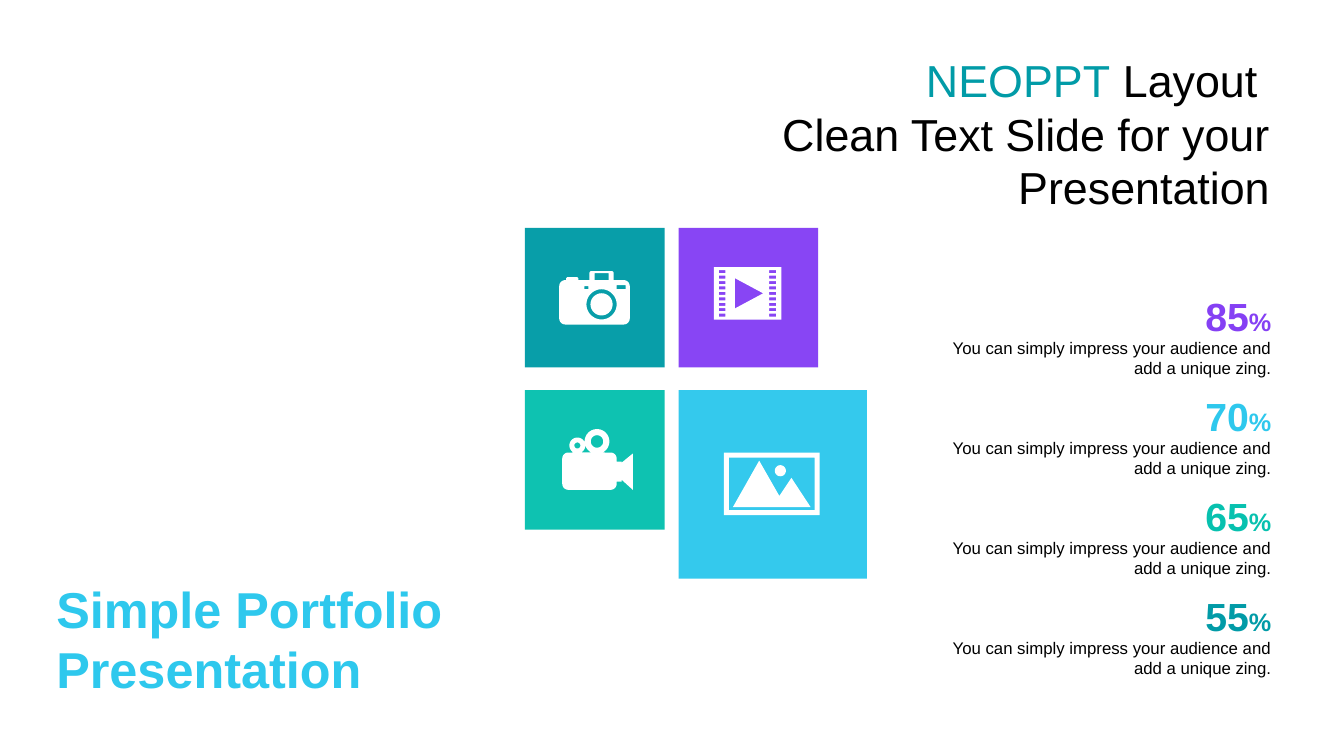
from math import cos, radians, sin

from lxml import etree
from pptx import Presentation
from pptx.dml.color import RGBColor
from pptx.enum.shapes import MSO_SHAPE
from pptx.enum.text import MSO_ANCHOR, MSO_AUTO_SIZE, PP_ALIGN
from pptx.oxml.ns import qn
from pptx.util import Cm, Pt

RECTANGLE = MSO_SHAPE.RECTANGLE
LEFT, RIGHT = PP_ALIGN.LEFT, PP_ALIGN.RIGHT
TOP, MIDDLE = MSO_ANCHOR.TOP, MSO_ANCHOR.MIDDLE
NO_AUTOFIT = MSO_AUTO_SIZE.NONE

FONT = "Arial"
TEAL, PURPLE, MINT, SKY = "019BA7", "8540F4", "07C1AF", "2EC8ED"
BLACK, WHITE = "000000", "FFFFFF"
ICON_UNIT = 0.0254  # cm per icon grid unit


def rgb(hex_color):
    return RGBColor.from_string(hex_color)


# Text helpers
def set_frame(shape, anchor):
    frame = shape.text_frame
    frame.word_wrap = True
    frame.auto_size = NO_AUTOFIT
    frame.vertical_anchor = anchor
    return frame


def add_text_box(slide, left, top, width, height, anchor):
    box = slide.shapes.add_textbox(Cm(left), Cm(top), Cm(width), Cm(height))
    return set_frame(box, anchor)


def style(run, size, color, bold=False):
    run.font.name = FONT
    run.font.size = Pt(size)
    run.font.bold = bold
    run.font.color.rgb = rgb(color)


def write(paragraph, parts, align, bold=False):
    """Fill a paragraph from (text, size, color) parts."""
    paragraph.alignment = align
    for text, size, color in parts:
        run = paragraph.add_run()
        run.text = text
        style(run, size, color, bold)


# Outlines on the icon grid, measured from the tile's corner
def box(left, top, right, bottom):
    return [(left, top), (right, top), (right, bottom), (left, bottom)]


def arc(x, y, radius, start, end):
    steps = max(6, round((end - start) / 10))
    angles = [radians(start + (end - start) * i / steps) for i in range(steps + 1)]
    return [(x + radius * cos(a), y + radius * sin(a)) for a in angles]


def circle(x, y, radius):
    return arc(x, y, radius, 0, 350)


CAMERA = [
    arc(40, 58, 6, 180, 270)
    + [(41, 52), (41, 50), (42, 49), (52, 49), (53, 50), (53, 52), (64, 52)]
    + arc(66, 45, 2, 180, 270) + arc(86, 45, 2, 270, 360) + [(88, 52)]
    + arc(98, 58, 6, 270, 360) + arc(98, 90, 6, 0, 90) + arc(40, 90, 6, 90, 180),
    circle(76, 76, 15), circle(76, 76, 11),
    box(59, 58, 63, 61), box(91, 57, 100, 61), box(69, 45, 83, 52),
]
FILM = [box(35, 39, 102, 91), [(56, 50), (84, 65), (56, 80)]] + [
    box(left, 42 + 5.4 * row, right, 45 + 5.4 * row)
    for row in range(9) for left, right in ((40, 46.5), (90, 97))
]
MOVIE_CAMERA = [
    arc(43, 68, 6, 180, 270) + arc(52, 55, 7.9, 118, 422)
    + arc(71.5, 51, 12.3, 117, 423) + arc(85, 68, 6, 270, 360)
    + [(91, 71), (96, 71), (96, 72), (107, 63), (107, 99), (96, 89), (96, 91), (91, 91)]
    + arc(85, 93, 6, 0, 90) + arc(43, 93, 6, 90, 180),
    circle(52, 55, 3), circle(71.5, 51, 6.2),
]
LANDSCAPE = [
    box(45, 62, 140, 124), box(50, 67, 135, 119), circle(101, 80, 5.5),
    [(80, 70), (100, 105), (112, 87), (131, 116), (54, 116)],
]


def fill_plain(shape, color):
    shape.shadow.inherit = False
    shape.fill.solid()
    shape.fill.fore_color.rgb = rgb(color)
    shape.line.fill.background()


def add_tile(slide, left, top, side, color, icon):
    # Slightly transparent square
    tile = slide.shapes.add_shape(RECTANGLE, Cm(left), Cm(top), Cm(side), Cm(side))
    fill_plain(tile, color)
    tint = tile.fill._xPr.find(qn("a:solidFill"))[0]
    etree.SubElement(tint, qn("a:alpha")).set("val", "97000")

    # White icon with cut-outs
    outlines = [[(Cm(left + x * ICON_UNIT), Cm(top + y * ICON_UNIT)) for x, y in outline]
                for outline in icon]
    builder = slide.shapes.build_freeform(*outlines[0][0])
    builder.add_line_segments(outlines[0][1:], close=True)
    for outline in outlines[1:]:
        builder.move_to(*outline[0])
        builder.add_line_segments(outline[1:], close=True)
    fill_plain(builder.convert_to_shape(), WHITE)


def add_tiles(slide, left, top):
    right, lower = left + 3.87, top + 4.09
    add_tile(slide, left, top, 3.52, TEAL, CAMERA)
    add_tile(slide, right, top, 3.52, PURPLE, FILM)
    add_tile(slide, left, lower, 3.52, MINT, MOVIE_CAMERA)
    add_tile(slide, right, lower, 4.75, SKY, LANDSCAPE)


def add_title(slide, left, top, width, height):
    title = slide.shapes.title
    title.left, title.top, title.width, title.height = map(Cm, (left, top, width, height))
    frame = set_frame(title, MIDDLE)
    write(frame.paragraphs[0], [("NEOPPT", 32, TEAL), (" Layout ", 32, BLACK)], RIGHT)
    write(frame.add_paragraph(),
          [("Clean Text Slide for your Presentation", 32, BLACK)], RIGHT)


def add_portfolio_name(slide, left, top, width, height):
    frame = add_text_box(slide, left, top, width, height, MIDDLE)
    frame.text = "Simple Portfolio\nPresentation"
    for paragraph in frame.paragraphs:
        paragraph.line_spacing = 0.8
        style(paragraph.runs[0], 36, SKY, bold=True)
    frame.paragraphs[1].space_before = Pt(8.3)


def add_statistics(slide, left, top, width, pitch):
    figures = [("85", PURPLE), ("70", SKY), ("65", MINT), ("55", TEAL)]
    for row, (figure, color) in enumerate(figures):
        row_top = top + row * pitch
        percent = add_text_box(slide, left + width - 2.44, row_top, 2.44, 1.45, MIDDLE)
        write(percent.paragraphs[0], [(figure, 28, color), ("%", 18, color)], RIGHT, bold=True)
        message = add_text_box(slide, left, row_top + 1.14, width, 1.3, TOP)
        write(message.paragraphs[0],
              [("You can simply impress your audience and add a unique zing.", 12, BLACK)],
              RIGHT)


def main():
    presentation = Presentation()
    presentation.slide_width, presentation.slide_height = Cm(33.87), Cm(19.05)
    slide = presentation.slides.add_slide(presentation.slide_layouts[5])
    add_tiles(slide, 13.23, 5.74)
    add_portfolio_name(slide, 1.17, 14.63, 11.4, 3.2)
    add_title(slide, 18.75, 1.17, 13.51, 4.37)
    add_statistics(slide, 23.22, 7.24, 9.07, 2.52)
    presentation.save("out.pptx")


if __name__ == "__main__":
    main()
